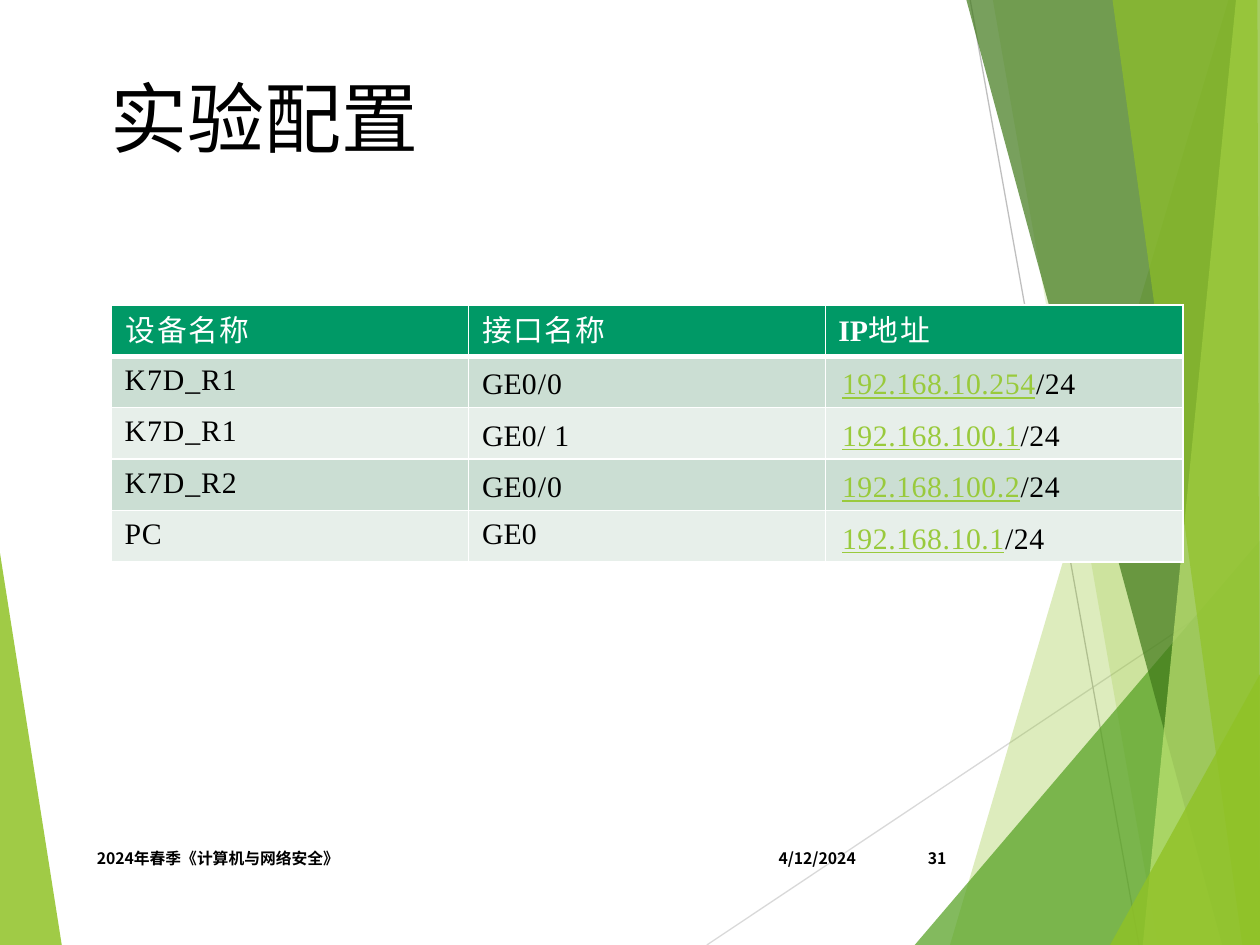
from pptx import Presentation
from pptx.dml.color import RGBColor
from pptx.enum.text import MSO_ANCHOR, MSO_AUTO_SIZE, PP_ALIGN
from pptx.oxml.ns import qn
from pptx.util import Inches, Pt
from lxml.etree import SubElement

SANS, SERIF = "Noto Sans CJK SC", "Times New Roman"
BLACK, WHITE, LINK = "000000", "FFFFFF", "99CA3C"
HEADER_FILL, BAND_FILLS = "009966", ("CBDED3", "E7EFEA")

# Fill, opacity in percent, corners in inches
LEFT_FACETS = [("90C226", 85, [(0, 4.39), (0.49, 7.5), (0, 7.5)])]
RIGHT_FACETS = [
    ("90C226", 30, [(9.75, 0), (7.54, 7.5), (10, 7.5), (10, 0)]),
    ("90C226", 20, [(7.88, 0), (9.19, 7.5), (10, 7.5), (10, 0)]),
    ("54A021", 72, [(7.26, 7.5), (10, 4.29), (10, 7.5)]),
    ("3F7819", 70, [(7.67, 0), (9.7, 7.5), (10, 7.5), (10, 0)]),
    ("C0E474", 70, [(9.81, 0), (9.07, 7.5), (10, 7.5), (10, 0)]),
    ("90C226", 65, [(8.83, 0), (9.86, 7.5), (10, 7.5), (9.98, 0)]),
    ("90C226", 80, [(8.81, 7.5), (10, 5.35), (10, 7.5)]),
]
RAYS = [("D9D9D9", (5.61, 7.5), (10, 4.57)), ("BFBFBF", (7.7, 0), (9.04, 7.5))]

# Each run of a table cell: text, letter spacing in points
HEADERS = ["设备名称", "接口名称", "IP地址"]
INTERFACES = [
    ("K7D_R1", 0.5, [("GE", 0), ("0/0", 0.6)], "192.168.10.254"),
    ("K7D_R1", 0.5, [("GE", 0), ("0/ 1", 0.4)], "192.168.100.1"),
    ("K7D_R2", 0.5, [("GE", 0), ("0/0", 0.6)], "192.168.100.2"),
    ("PC", 0.3, [("GE", 0), ("0", 1)], "192.168.10.1"),
]


def color(hex_string):
    return RGBColor.from_string(hex_string)


def add_run(paragraph, text, size, font=SANS, fill=BLACK, spacing=0,
            bold=False, underline=False):
    run = paragraph.add_run()
    run.text = text
    run.font.size, run.font.name = Pt(size), font
    run.font.bold, run.font.underline = bold, underline
    run.font.color.rgb = color(fill)
    properties = run.font._element
    properties.set("spc", str(round(spacing * 100)))
    SubElement(properties, qn("a:ea")).set("typeface", font)


def add_facets(slide, left, top, facets):
    for fill, opacity, corners in facets:
        points = [(Inches(left + x), Inches(top + y)) for x, y in corners]
        builder = slide.shapes.build_freeform(*points[0])
        builder.add_line_segments(points[1:], close=True)
        facet = builder.convert_to_shape()
        facet.shadow.inherit = False
        facet.line.fill.background()
        facet.fill.solid()
        facet.fill.fore_color.rgb = color(fill)
        tint = facet._element.spPr.find(qn("a:solidFill"))[0]
        SubElement(tint, qn("a:alpha")).set("val", str(opacity * 1000))


def add_rays(slide, left, top):
    for stroke, (x1, y1), (x2, y2) in RAYS:
        ray = slide.shapes.add_connector(
            1, Inches(left + x1), Inches(top + y1), Inches(left + x2), Inches(top + y2))
        ray.line.color.rgb = color(stroke)
        ray.line.width = Pt(0.75)
        SubElement(ray._element.spPr, qn("a:effectLst"))


def add_background(slide, left, top):
    add_facets(slide, left, top, LEFT_FACETS)
    add_rays(slide, left, top)
    add_facets(slide, left, top, RIGHT_FACETS)


def set_title(slide, left, top, width, height):
    title = slide.shapes.title
    title.left, title.top = Inches(left), Inches(top)
    title.width, title.height = Inches(width), Inches(height)
    frame = title.text_frame
    frame.margin_left = frame.margin_top = frame.margin_right = frame.margin_bottom = 0
    frame.vertical_anchor = MSO_ANCHOR.TOP
    frame.auto_size = MSO_AUTO_SIZE.NONE
    frame.word_wrap = True
    paragraph = frame.paragraphs[0]
    paragraph.alignment = PP_ALIGN.LEFT
    paragraph.line_spacing = 0.96
    add_run(paragraph, "实验配置", 44)


def style_cell(cell, fill, top_width, bottom_width):
    """Fill the cell and draw its white borders, widths in points."""
    properties = cell._tc.get_or_add_tcPr()
    for side, width in (("L", 1), ("R", 1), ("T", top_width), ("B", bottom_width)):
        border = SubElement(properties, qn(f"a:ln{side}"), w=str(Pt(width)))
        solid = SubElement(border, qn("a:solidFill"))
        SubElement(solid, qn("a:srgbClr")).set("val", WHITE)
    cell.fill.solid()
    cell.fill.fore_color.rgb = color(fill)


def open_cell(cell, indent, top, line_height):
    """Set the cell's insets and line height, and return its paragraph."""
    cell.margin_left, cell.margin_top = Inches(indent), Inches(top)
    cell.margin_right = cell.margin_bottom = 0
    paragraph = cell.text_frame.paragraphs[0]
    paragraph.line_spacing = Pt(line_height)
    return paragraph


def fill_header(cells):
    for cell, label, indent in zip(cells, HEADERS, (0.12, 0.11, 0.1)):
        style_cell(cell, HEADER_FILL, 1, 3)
        paragraph = open_cell(cell, indent, 0.07, 20.6)
        if label.startswith("IP"):
            add_run(paragraph, "IP", 17, SERIF, WHITE, bold=True)
            add_run(paragraph, label[2:], 17, SANS, WHITE, 1.3)
        else:
            add_run(paragraph, label, 17, SANS, WHITE, 0.8)


def fill_row(cells, row, interface):
    device, device_spacing, port_runs, address = interface
    for cell in cells:
        style_cell(cell, BAND_FILLS[(row - 1) % 2], 3 if row == 1 else 1, 1)
    high, low = (0.11, 15.4), (0.03, 23.6)
    device_cell, port_cell, address_cell = cells
    add_run(open_cell(device_cell, 0.11, *high), device, 17, SERIF, spacing=device_spacing)
    port = open_cell(port_cell, 0.11, *(high if device == "PC" else low))
    for text, spacing in port_runs:
        add_run(port, text, 17, SERIF, spacing=spacing)
    ip = open_cell(address_cell, 0.13, *low)
    add_run(ip, address, 17, SERIF, LINK, 0.3, underline=True)
    add_run(ip, "/24", 17, SERIF, spacing=0.3)


def add_interface_table(slide, left, top, width, height):
    row_count, column_count = len(INTERFACES) + 1, len(HEADERS)
    table = slide.shapes.add_table(row_count, column_count, Inches(left), Inches(top),
                                   Inches(width), Inches(height)).table
    for column in table.columns:
        column.width = Inches(width / column_count)
    for row in table.rows:
        row.height = Inches(height / row_count)
    header, *body = [list(row.cells) for row in table.rows]
    fill_header(header)
    for number, (cells, interface) in enumerate(zip(body, INTERFACES), 1):
        fill_row(cells, number, interface)


def add_footer(slide, left, top, height):
    for text, offset, width, alignment in (
            ("4/12/2024", 5.24, 0.98, PP_ALIGN.RIGHT),
            ("2024年春季《计算机与网络安全》", 0, 5.06, PP_ALIGN.LEFT),
            ("31", 6.38, 0.56, PP_ALIGN.RIGHT)):
        frame = slide.shapes.add_textbox(Inches(left + offset), Inches(top),
                                         Inches(width), Inches(height)).text_frame
        frame.word_wrap = True
        frame.vertical_anchor = MSO_ANCHOR.MIDDLE
        paragraph = frame.paragraphs[0]
        paragraph.alignment = alignment
        add_run(paragraph, text, 9, bold=True)


def main():
    deck = Presentation()
    deck.slide_width, deck.slide_height = Inches(10), Inches(7.5)
    slide = deck.slides.add_slide(deck.slide_layouts[5])
    add_background(slide, 0, 0)
    add_interface_table(slide, 0.88, 2.42, 8.51, 2.04)
    set_title(slide, 0.88, 0.61, 2.97, 0.74)
    add_footer(slide, 0.67, 6.61, 0.4)
    deck.save("out.pptx")


if __name__ == "__main__":
    main()
